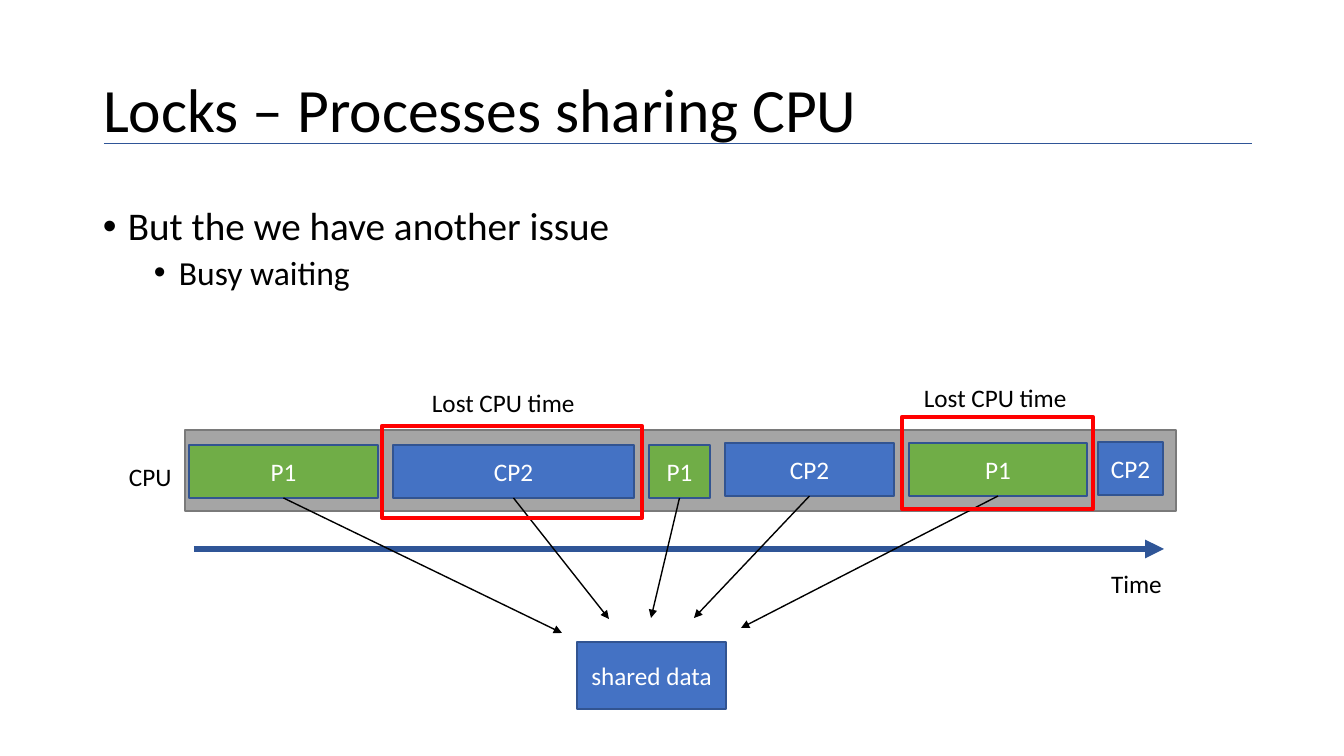
from lxml import etree
from pptx import Presentation
from pptx.dml.color import RGBColor
from pptx.enum.shapes import MSO_CONNECTOR, MSO_SHAPE
from pptx.enum.text import MSO_ANCHOR, PP_ALIGN
from pptx.oxml.ns import qn
from pptx.util import Pt

RECT = MSO_SHAPE.RECTANGLE
LINE = MSO_CONNECTOR.STRAIGHT
MID, TOP = MSO_ANCHOR.MIDDLE, MSO_ANCHOR.TOP
LEFT, CENTER = PP_ALIGN.LEFT, PP_ALIGN.CENTER

FONT = "Calibri"
COLORS = {
    "black": "000000", "white": "FFFFFF", "gray": "A5A5A5", "edge": "7A7A7A",
    "green": "70AD47", "blue": "4472C4", "rim": "325491", "navy": "2F5597",
    "red": "FF0000",
}

TITLE = "Locks – Processes sharing CPU"
TITLE_BOX = (93, 40, 1159, 146)
BODY_BOX = (93, 202, 1159, 480)
BULLETS = [
    ("But the we have another issue", 28, 25, 0),
    ("Busy waiting", 24, 76, 5),
]
BAR = (185, 430, 991, 81)
BLOCK_H = 53
BLOCKS = [
    ("P1", "green", 189, 445, 189, (562, 633)),
    ("CP2", "blue", 393, 445, 241, (609, 619)),
    ("P1", "green", 649, 445, 61, (651, 618)),
    ("CP2", "blue", 725, 443, 169, (694, 618)),
    ("P1", "green", 909, 443, 178, (741, 628)),
    ("CP2", "blue", 1098, 442, 65, None),
]
SHARED = ("shared data", (577, 642, 149, 67))
LOST = [(382, 426, 260, 92), (902, 417, 191, 92)]
LABELS = [
    ("CPU", (119, 456, 67, 40), LEFT),
    ("Time", (1038, 563, 197, 40), CENTER),
    ("Lost CPU time", (422, 382, 188, 40), LEFT),
    ("Lost CPU time", (914, 377, 188, 40), LEFT),
]
RULE = ((104, 143), (1252, 143))
AXIS = ((194, 549), (1164, 549))


def px(n):
    return round(n * 914400 / 100.8)


def rgb(name):
    return RGBColor.from_string(COLORS[name])


def style(para, size, color="black", align=LEFT):
    para.alignment = align
    for run in para.runs:
        run.font.size = Pt(size)
        run.font.name = FONT
        run.font.color.rgb = rgb(color)


def write(shape, text, size, color="black", align=LEFT, anchor=TOP):
    frame = shape.text_frame
    frame.word_wrap = True
    frame.vertical_anchor = anchor
    frame.text = text
    style(frame.paragraphs[0], size, color, align)


def add_rect(slide, box, fill, edge, width=1, text=""):
    shape = slide.shapes.add_shape(RECT, *map(px, box))
    shape.shadow.inherit = False
    if fill:
        shape.fill.solid()
        shape.fill.fore_color.rgb = rgb(fill)
    else:
        shape.fill.background()
    shape.line.color.rgb = rgb(edge)
    shape.line.width = Pt(width)
    if text:
        write(shape, text, 18, "white", CENTER, MID)


def add_line(slide, start, end, color, width, arrow=True):
    line = slide.shapes.add_connector(LINE, *map(px, start + end))
    line.line.color.rgb = rgb(color)
    line.line.width = Pt(width)
    props = line._element.spPr
    if arrow:
        etree.SubElement(props.find(qn("a:ln")), qn("a:tailEnd"), type="triangle")
    etree.SubElement(props, qn("a:effectLst"))


def add_title(slide):
    title = slide.shapes.title
    title.left, title.top, title.width, title.height = map(px, TITLE_BOX)
    write(title, TITLE, 44, anchor=MID)
    title.text_frame.paragraphs[0].line_spacing = 0.9


def add_body(slide):
    frame = slide.shapes.add_textbox(*map(px, BODY_BOX)).text_frame
    frame.word_wrap = True
    for i, (text, size, indent, gap) in enumerate(BULLETS):
        para = frame.add_paragraph() if i else frame.paragraphs[0]
        para.text = text
        para.level = i
        props = para._p.get_or_add_pPr()
        props.set("marL", str(px(indent)))
        props.set("indent", str(px(-25)))
        etree.SubElement(props, qn("a:buFont"), typeface="Arial")
        etree.SubElement(props, qn("a:buChar"), char="•")
        para.line_spacing = 0.9
        if gap:
            para.space_before = Pt(gap)
        style(para, size)


def main():
    deck = Presentation()
    deck.slide_width, deck.slide_height = px(1344), px(756)
    slide = deck.slides.add_slide(deck.slide_layouts[5])
    add_title(slide)
    add_line(slide, *RULE, "navy", 0.5, arrow=False)
    add_body(slide)
    add_rect(slide, BAR, "gray", "edge")
    add_line(slide, *AXIS, "navy", 4.5)
    for text, fill, x, y, w, tip in BLOCKS:
        add_rect(slide, (x, y, w, BLOCK_H), fill, "rim", text=text)
        if tip:
            add_line(slide, (x + w / 2, y + BLOCK_H), tip, "black", 1)
    name, box = SHARED
    add_rect(slide, box, "blue", "rim", text=name)
    for box in LOST:
        add_rect(slide, box, None, "red", 3)
    for text, box, align in LABELS:
        write(slide.shapes.add_textbox(*map(px, box)), text, 18, align=align)
    deck.save("out.pptx")


if __name__ == "__main__":
    main()
